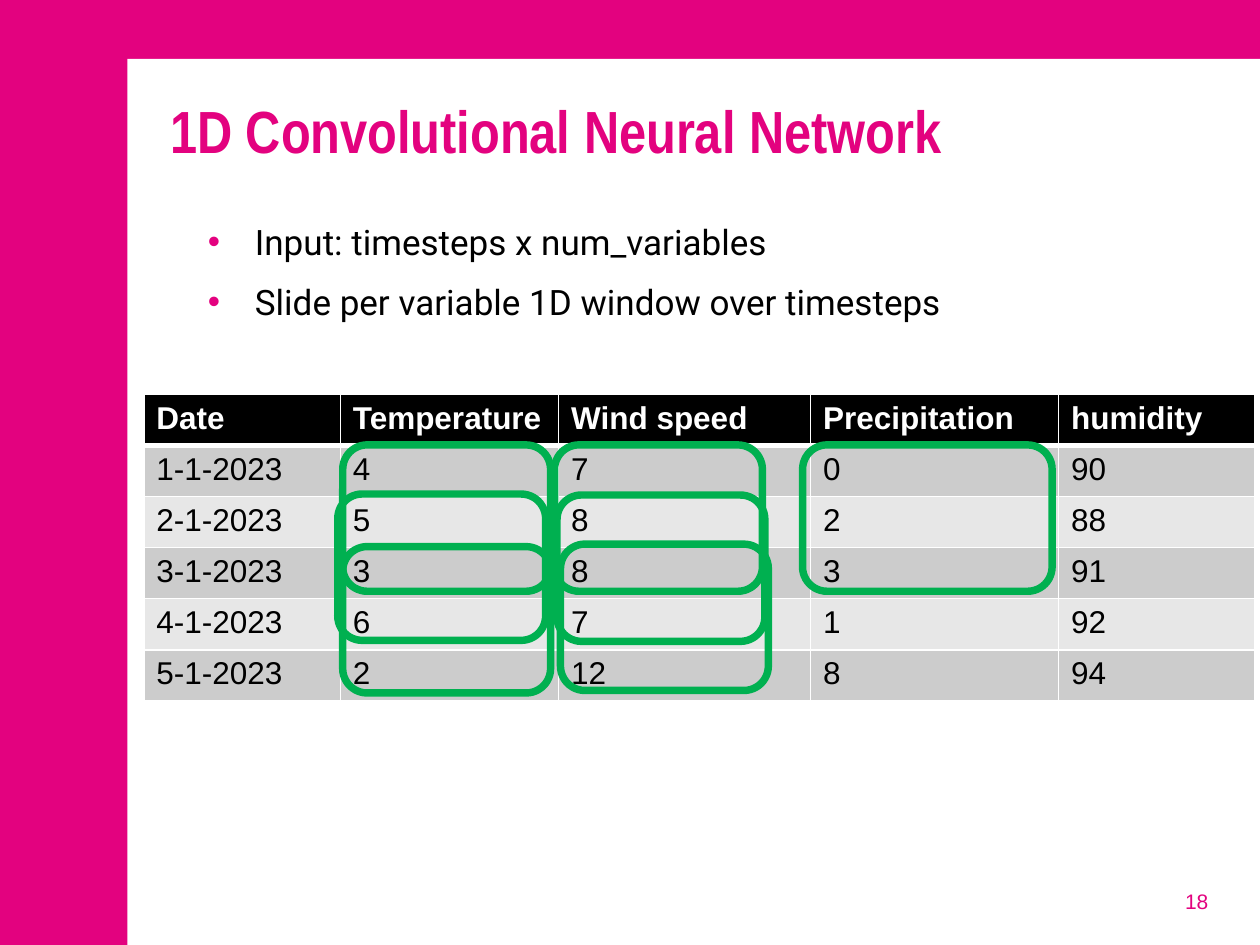
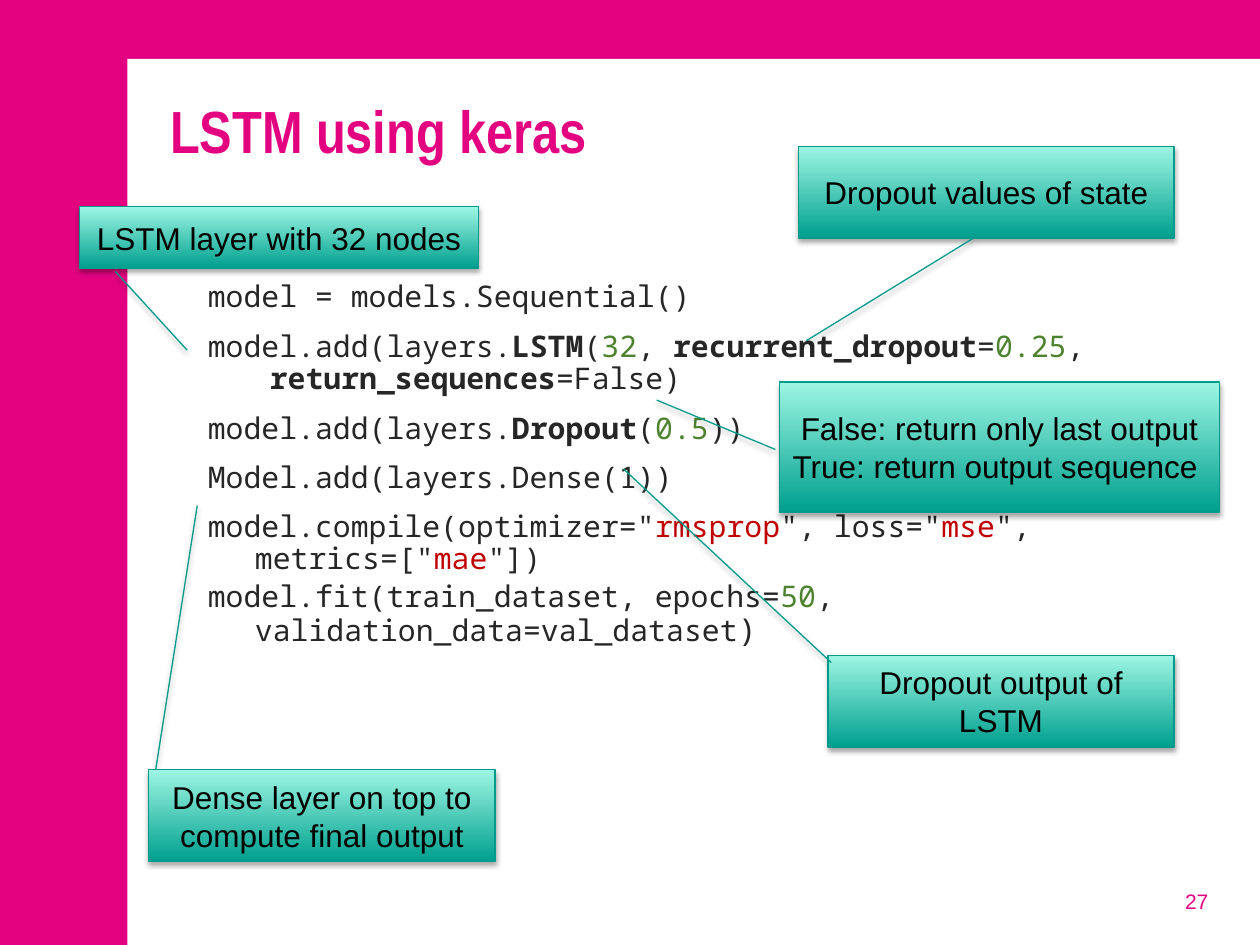
from lxml import etree
from pptx import Presentation
from pptx.dml.color import RGBColor
from pptx.enum.shapes import MSO_SHAPE
from pptx.enum.text import MSO_ANCHOR, PP_ALIGN
from pptx.oxml.ns import qn
from pptx.util import Cm, Pt

RECTANGLE = MSO_SHAPE.RECTANGLE
ROUNDED = MSO_SHAPE.ROUNDED_RECTANGLE
CALLOUT = MSO_SHAPE.LINE_CALLOUT_1
TOP, MIDDLE = MSO_ANCHOR.TOP, MSO_ANCHOR.MIDDLE
CENTER, RIGHT = PP_ALIGN.CENTER, PP_ALIGN.RIGHT

MAGENTA = RGBColor(0xE3, 0x02, 0x7F)
WHITE = RGBColor(0xFF, 0xFF, 0xFF)
BLACK = RGBColor(0x00, 0x00, 0x00)
ROW_DARK = RGBColor(0xCC, 0xCC, 0xCC)
ROW_LIGHT = RGBColor(0xE7, 0xE7, 0xE7)
WINDOW_GREEN = RGBColor(0x00, 0xB0, 0x50)
CODE_GREY = RGBColor(0x26, 0x26, 0x26)
NUMBER_GREEN = RGBColor(0x4D, 0x82, 0x2F)
STRING_RED = RGBColor(0xC0, 0x00, 0x00)
CALLOUT_DARK = RGBColor(0x00, 0x9F, 0x8E)
CALLOUT_LIGHT = RGBColor(0x9D, 0xF6, 0xE3)
CALLOUT_LINE = RGBColor(0x00, 0x9B, 0x8B)


def add_run(paragraph, text, size, color, font="Arial", bold=False):
    run = paragraph.add_run()
    run.text = text
    run.font.name = font
    run.font.size = Pt(size)
    run.font.bold = bold
    run.font.color.rgb = color


def add_text_box(slide, left, top, width, height, anchor=TOP):
    """Add a wrapping text box, measured in cm, and return its text frame."""
    box = slide.shapes.add_textbox(Cm(left), Cm(top), Cm(width), Cm(height))
    box.text_frame.word_wrap = True
    box.text_frame.vertical_anchor = anchor
    return box.text_frame


presentation = Presentation()
presentation.slide_width = Cm(25.4)
presentation.slide_height = Cm(19.05)

# Frame, title and number of every slide
slides = []
for title, number in [("1D Convolutional Neural Network", "18"), ("LSTM using keras", "27")]:
    slide = presentation.slides.add_slide(presentation.slide_layouts[6])
    slide.background.fill.solid()
    slide.background.fill.fore_color.rgb = MAGENTA
    panel = slide.shapes.add_shape(RECTANGLE, Cm(2.57), Cm(1.19), Cm(22.83), Cm(17.86))
    panel.shadow.inherit = False
    panel.fill.solid()
    panel.fill.fore_color.rgb = WHITE
    panel.line.fill.background()
    title_frame = add_text_box(slide, 3.18, 1.78, 21.44, 3.4)
    add_run(title_frame.paragraphs[0], title, 34, MAGENTA, "Arial Narrow", True)
    number_frame = add_text_box(slide, 18.69, 17.65, 5.92, 1.02, MIDDLE)
    number_frame.paragraphs[0].alignment = RIGHT
    add_run(number_frame.paragraphs[0], number, 12, MAGENTA)
    slides.append(slide)
network_slide, keras_slide = slides

# Slide 18: weather table with sliding windows
header = ["Date", "Temperature", "Wind speed", "Precipitation", "humidity"]
days = [
    ["1-1-2023", "4", "7", "0", "90"],
    ["2-1-2023", "5", "8", "2", "88"],
    ["3-1-2023", "3", "8", "3", "91"],
    ["4-1-2023", "6", "7", "1", "92"],
    ["5-1-2023", "2", "12", "8", "94"],
]
column_widths = [3.96, 4.4, 5.08, 5, 3.96]
row_height = 1.03
table = network_slide.shapes.add_table(
    len(days) + 1, len(header), Cm(2.9), Cm(7.95),
    Cm(sum(column_widths)), Cm(row_height * (len(days) + 1))).table
for column, width in zip(table.columns, column_widths):
    column.width = Cm(width)
for row_index, values in enumerate([header] + days):
    table.rows[row_index].height = Cm(row_height)
    is_header = row_index == 0
    row_fill = BLACK if is_header else ROW_DARK if row_index % 2 else ROW_LIGHT
    border_widths = {
        "a:lnL": 1,
        "a:lnR": 1,
        "a:lnT": 3 if row_index == 1 else 1,
        "a:lnB": 3 if is_header else 1,
    }
    for column_index, value in enumerate(values):
        cell = table.cell(row_index, column_index)
        add_run(cell.text_frame.paragraphs[0], value, 18,
                WHITE if is_header else BLACK, bold=is_header)
        properties = cell._tc.get_or_add_tcPr()
        for tag, points in border_widths.items():
            border = etree.SubElement(properties, qn(tag), w=str(Pt(points)))
            border_fill = etree.SubElement(border, qn("a:solidFill"))
            etree.SubElement(border_fill, qn("a:srgbClr"), val=str(WHITE))
        cell.fill.solid()
        cell.fill.fore_color.rgb = row_fill

bullet_frame = add_text_box(network_slide, 3.94, 4.32, 20.68, 3.5)
bullets = ["Input: timesteps x num_variables", "Slide per variable 1D window over timesteps"]
for index, text in enumerate(bullets):
    paragraph = bullet_frame.add_paragraph() if index else bullet_frame.paragraphs[0]
    paragraph.space_before = Pt(4)
    paragraph.space_after = Pt(6)
    properties = paragraph._p.get_or_add_pPr()
    properties.set("marL", str(Cm(0.95)))
    properties.set("indent", str(-Cm(0.95)))
    bullet_color = etree.SubElement(properties, qn("a:buClr"))
    etree.SubElement(bullet_color, qn("a:srgbClr"), val=str(MAGENTA))
    etree.SubElement(properties, qn("a:buFont"), typeface="Arial")
    etree.SubElement(properties, qn("a:buChar"), char="•")
    add_run(paragraph, text, 20, BLACK, "Roboto")

windows = [
    (6.91, 8.97, 4.19), (11.23, 9.98, 4.19), (6.91, 11.02, 4.19), (11.18, 8.97, 4.19),
    (11.3, 10.97, 4.19), (16.18, 8.97, 5.03), (6.81, 9.96, 4.19),
]
for left, top, width in windows:
    window = network_slide.shapes.add_shape(ROUNDED, Cm(left), Cm(top), Cm(width), Cm(2.95))
    window.shadow.inherit = False
    window.fill.background()
    window.line.color.rgb = WINDOW_GREEN
    window.line.width = Pt(4.25)

# Slide 27: code, one list of (text, style) runs per paragraph
code_styles = {
    "plain": (CODE_GREY, False),
    "name": (CODE_GREY, True),
    "number": (NUMBER_GREEN, False),
    "string": (STRING_RED, False),
}
code = [
    [("model = models.Sequential()", "plain")],
    [("model.add(layers.", "plain"), ("LSTM", "name"), ("(", "plain"), ("32", "number"),
     (", ", "plain"), ("recurrent_dropout", "name"), ("=", "plain"), ("0.25", "number"),
     (",", "plain"), ("", "break"), ("return_sequences", "name"), ("=False)", "plain")],
    [("model.add(layers.", "plain"), ("Dropout", "name"), ("(", "plain"),
     ("0.5", "number"), ("))", "plain")],
    [("Model.add(layers.Dense(1))", "plain")],
    [('model.compile(optimizer="', "plain"), ("rmsprop", "string"), ('", loss="', "plain"),
     ("mse", "string"), ('", metrics=["', "plain"), ("mae", "string"), ('"])', "plain")],
    [("model.fit(train_dataset, epochs=", "plain"), ("50", "number"),
     (", validation_data=val_dataset", "plain"), (")", "plain")],
]
code_frame = add_text_box(keras_slide, 3.94, 5.56, 20.68, 12.29)
for index, runs in enumerate(code):
    paragraph = code_frame.add_paragraph() if index else code_frame.paragraphs[0]
    is_layer = index < 4
    indent = 1.25 if is_layer else 0.95
    paragraph.line_spacing = 0.9
    paragraph.space_before = Pt(4 if is_layer else 3.4)
    paragraph.space_after = Pt(6 if is_layer else 0)
    properties = paragraph._p.get_or_add_pPr()
    properties.set("marL", str(Cm(indent)))
    properties.set("indent", str(-Cm(indent)))
    for text, style in runs:
        if style == "break":
            paragraph.add_line_break()
            continue
        color, bold = code_styles[style]
        add_run(paragraph, text, 18 if text == ")" else 17, color, "Noto Sans Mono", bold)

# Callouts: place, then line start and end as (y, x) shares of the box
callouts = [
    (16.1, 2.95, 7.57, 1.85, (0.99, 0.47, 2.12, 0.02), ["Dropout values of state"]),
    (15.72, 7.7, 8.86, 2.62, (0.52, -0.01, 0.14, -0.28),
     ["False: return only last output", "True: return output sequence "]),
    (16.69, 13.21, 6.98, 1.85, (0.08, 0.01, -2.03, -0.59), ["Dropout output of LSTM"]),
    (3, 15.52, 6.98, 1.85, (-2.88, 0.14, 0, 0.02),
     ["Dense layer on top to compute final output"]),
    (1.6, 4.17, 8.05, 1.24, (1.05, 0.09, 2.33, 0.27), ["LSTM layer with 32 nodes"]),
]
for left, top, width, height, pointer, lines in callouts:
    callout = keras_slide.shapes.add_shape(CALLOUT, Cm(left), Cm(top), Cm(width), Cm(height))
    for index, share in enumerate(pointer):
        callout.adjustments[index] = share
    callout.fill.gradient()
    callout.fill.gradient_angle = 90
    for stop, color in zip(callout.fill.gradient_stops, [CALLOUT_DARK, CALLOUT_LIGHT]):
        stop.color.rgb = color
    callout.line.color.rgb = CALLOUT_LINE
    callout.line.width = Pt(0.75)
    callout.shadow.inherit = False
    effects = callout.element.spPr.find(qn("a:effectLst"))
    shadow = etree.SubElement(effects, qn("a:outerShdw"), blurRad=str(Pt(3.1)),
                              dist=str(Pt(1.8)), dir="5400000", rotWithShape="0")
    shadow_color = etree.SubElement(shadow, qn("a:srgbClr"), val=str(BLACK))
    etree.SubElement(shadow_color, qn("a:alpha"), val="35000")
    frame = callout.text_frame
    frame.word_wrap = True
    frame.vertical_anchor = MIDDLE
    for index, line in enumerate(lines):
        paragraph = frame.add_paragraph() if index else frame.paragraphs[0]
        paragraph.alignment = CENTER
        add_run(paragraph, line, 18, BLACK)

presentation.save("out.pptx")
